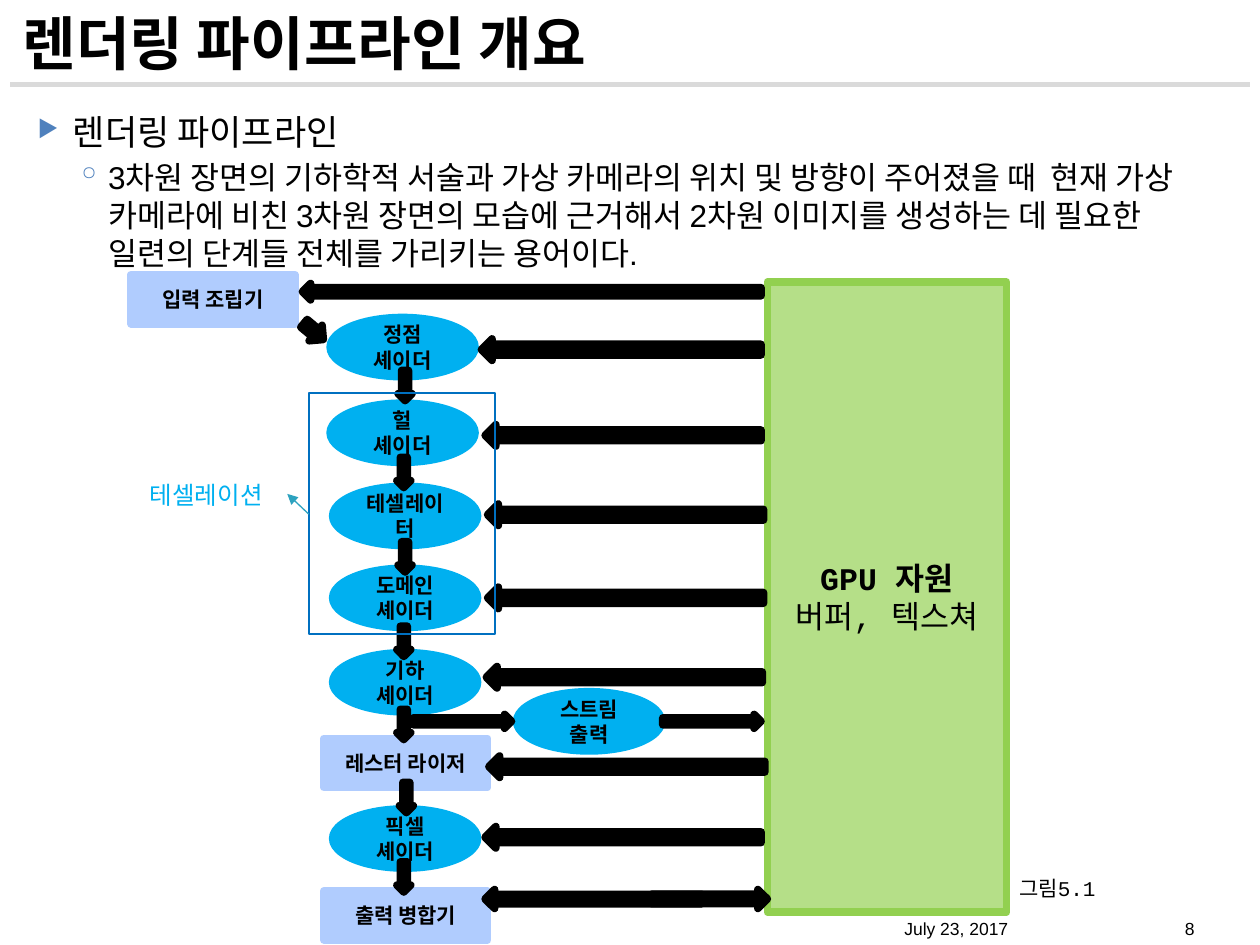
from dataclasses import dataclass

from lxml.etree import SubElement
from pptx import Presentation
from pptx.dml.color import RGBColor as RGB
from pptx.enum.shapes import MSO_CONNECTOR as LINE, MSO_SHAPE as SHAPE
from pptx.enum.text import MSO_ANCHOR as ANCHOR, PP_ALIGN as ALIGN
from pptx.oxml.ns import qn
from pptx.util import Inches, Pt


@dataclass(frozen=True)
class Theme:
    sans: str = "Arial"
    mono: str = "Courier New"
    ink: str = "000000"
    rule: str = "DADADA"
    fixed: str = "B0CCFE"
    shader: str = "00B0F0"
    gpu: str = "92D050"
    frame: str = "0070C0"
    link: str = "2DA2BF"
    bullet: str = "4F81BD"
    title: float = 33.3
    head: float = 20
    body: float = 18
    group: float = 14
    label: float = 12
    foot: float = 10
    edge: float = 4.33


T = Theme()


def color(code):
    return RGB.from_string(code)


def style(para, size, font=T.mono, ink=T.ink, bold=False, align=ALIGN.LEFT):
    para.alignment = align
    para.font.name = font
    para.font.size = Pt(size)
    para.font.bold = bold
    para.font.color.rgb = color(ink)


def add_text(slide, text, box, size, anchor=ANCHOR.TOP, wrap=True, **look):
    frame = slide.shapes.add_textbox(*map(Inches, box)).text_frame
    frame.word_wrap = wrap
    frame.vertical_anchor = anchor
    frame.text = text
    style(frame.paragraphs[0], size, **look)


def add_block(slide, kind, box, fill, text="", size=T.label, edge=T.edge, line=None):
    block = slide.shapes.add_shape(kind, *map(Inches, box))
    block.shadow.inherit = False
    if fill:
        block.fill.solid()
        block.fill.fore_color.rgb = color(fill)
    else:
        block.fill.background()
    block.line.color.rgb = color(line or fill)
    block.line.width = Pt(edge)
    if text:
        frame = block.text_frame
        frame.vertical_anchor = ANCHOR.MIDDLE
        frame.text = text
        style(frame.paragraphs[0], size, bold=True, align=ALIGN.CENTER)
    return block


def add_arrow(slide, box, kind=SHAPE.RIGHT_ARROW, turn=0):
    add_block(slide, kind, box, T.ink).rotation = turn


def add_line(slide, start, end, ink, width, head=False):
    line = slide.shapes.add_connector(LINE.STRAIGHT, *map(Inches, start + end))
    line.line.color.rgb = color(ink)
    line.line.width = Pt(width)
    if head:
        SubElement(line.line._get_or_add_ln(), qn("a:tailEnd"), type="triangle")
    SubElement(line._element.spPr, qn("a:effectLst"))


def add_bullet(para, mark, left, hang, scale=100):
    props = para._p.get_or_add_pPr()
    props.set("marL", str(Inches(left)))
    props.set("indent", str(Inches(-hang)))
    # Bullet parts come before the default run properties
    tint = props.makeelement(qn("a:buClr"), {})
    SubElement(tint, qn("a:srgbClr"), val=T.bullet)
    size = props.makeelement(qn("a:buSzPct"), {"val": str(scale * 1000)})
    char = props.makeelement(qn("a:buChar"), {"char": mark})
    rest = props.find(qn("a:defRPr"))
    for part in (tint, size, char):
        rest.addprevious(part)


def add_title(slide, text):
    title = slide.shapes.title
    title.left, title.top, title.width, title.height = map(Inches, (0.08, 0, 9.75, 0.67))
    title.text = text
    title.text_frame.vertical_anchor = ANCHOR.MIDDLE
    style(title.text_frame.paragraphs[0], T.title, T.sans, bold=True)


def add_body(slide, items):
    box = slide.shapes.add_textbox(*map(Inches, (0.08, 0.83, 9.75, 6.33)))
    frame = box.text_frame
    frame.word_wrap = True
    for i, (text, size, gap, bullet) in enumerate(items):
        para = frame.add_paragraph() if i else frame.paragraphs[0]
        para.text = text
        para.level = i
        para.space_before = Pt(gap)
        style(para, size, T.sans)
        add_bullet(para, *bullet)


def add_stages(slide):
    for text, left, top in (("입력 조립기", 1.04, 2.18), ("레스터 라이저", 2.57, 5.86),
                            ("출력 병합기", 2.57, 7.07)):
        add_block(slide, SHAPE.RECTANGLE, (left, top, 1.3, 0.39), T.fixed, text)
    for text, left, top in (("정점\v셰이더", 2.62, 2.52), ("헐\v셰이더", 2.62, 3.2),
                            ("테셀레이터", 2.64, 3.86), ("도메인 셰이더", 2.64, 4.51),
                            ("기하\v셰이더", 2.64, 5.18), ("픽셀\v셰이더", 2.64, 6.42),
                            ("스트림\v출력", 4.1, 5.49)):
        add_block(slide, SHAPE.OVAL, (left, top, 1.15, 0.47), T.shader, text)


def add_gpu(slide):
    gpu = add_block(slide, SHAPE.RECTANGLE, (6.09, 2.24, 1.9, 5), T.gpu,
                    "GPU 자원\v버퍼, 텍스쳐", T.body)
    gpu.text_frame.paragraphs[0].runs[1].font.bold = False
    tint = gpu._element.spPr.find(qn("a:solidFill"))[0]
    SubElement(tint, qn("a:alpha"), val="68000")


def add_flow(slide):
    # Stage to stage
    add_arrow(slide, (2.41, 2.53, 0.16, 0.2), SHAPE.DOWN_ARROW, 310)
    for left, top in ((3.16, 2.94), (3.15, 3.63), (3.16, 4.3), (3.15, 4.97),
                      (3.15, 5.63), (3.17, 6.21), (3.15, 6.84)):
        add_arrow(slide, (left, top, 0.11, 0.24), SHAPE.DOWN_ARROW)
    # Through the stream output
    for left in (3.28, 5.26):
        add_arrow(slide, (left, 5.67, 0.78, 0.11))
    # From the GPU resources back to the stages
    add_arrow(slide, (2.4, 2.25, 3.64, 0.13), turn=180)
    add_arrow(slide, (3.82, 2.69, 2.22, 0.17), turn=180)
    for left, top in ((3.85, 3.37), (3.87, 4), (3.87, 4.66), (3.86, 5.29),
                      (3.88, 6), (3.85, 6.56)):
        add_arrow(slide, (left, top, 2.19, 0.17), turn=180)
    # Both ways at the output merger
    add_arrow(slide, (3.85, 7.06, 1.72, 0.15), turn=180)
    add_arrow(slide, (5.17, 7.06, 0.92, 0.15))


def main():
    deck = Presentation()
    deck.slide_width, deck.slide_height = Inches(10), Inches(7.5)
    slide = deck.slides.add_slide(deck.slide_layouts[5])

    # Heading and definition
    add_line(slide, (0.08, 0.67), (9.92, 0.67), T.rule, 2.5)
    add_title(slide, "렌더링 파이프라인 개요")
    add_body(slide, (
        ("렌더링 파이프라인", T.head, 4, ("▶", 0.4, 0.28, 68)),
        ("3차원 장면의 기하학적 서술과 가상 카메라의 위치 및 방향이 주어졌을 때  현재 가상 "
         "카메라에 비친 3차원 장면의 모습에 근거해서 2차원 이미지를 생성하는 데 필요한 "
         "일련의 단계들 전체를 가리키는 용어이다.", T.body, 3.2, ("◦", 0.68, 0.25)),
    ))

    # Pipeline diagram
    add_stages(slide)
    add_gpu(slide)
    add_flow(slide)

    # Tessellation group
    add_block(slide, SHAPE.RECTANGLE, (2.45, 3.12, 1.48, 1.91), None, edge=1, line=T.frame)
    add_text(slide, "테셀레이션", (1.09, 3.76, 1.18, 0.34), T.group, wrap=False, ink=T.shader)
    add_line(slide, (2.45, 4.08), (2.28, 3.92), T.link, 0.75, head=True)

    # Caption and footer
    add_text(slide, "그림5.1", (7.99, 6.9, 0.81, 0.3), T.label)
    add_text(slide, "July 23, 2017", (7.08, 7.1, 2.1, 0.4), T.foot, ANCHOR.BOTTOM, font=T.sans)
    add_text(slide, "8", (9.18, 7.1, 0.4, 0.4), T.foot, ANCHOR.BOTTOM, font=T.sans,
             align=ALIGN.RIGHT)

    deck.save("out.pptx")


if __name__ == "__main__":
    main()
